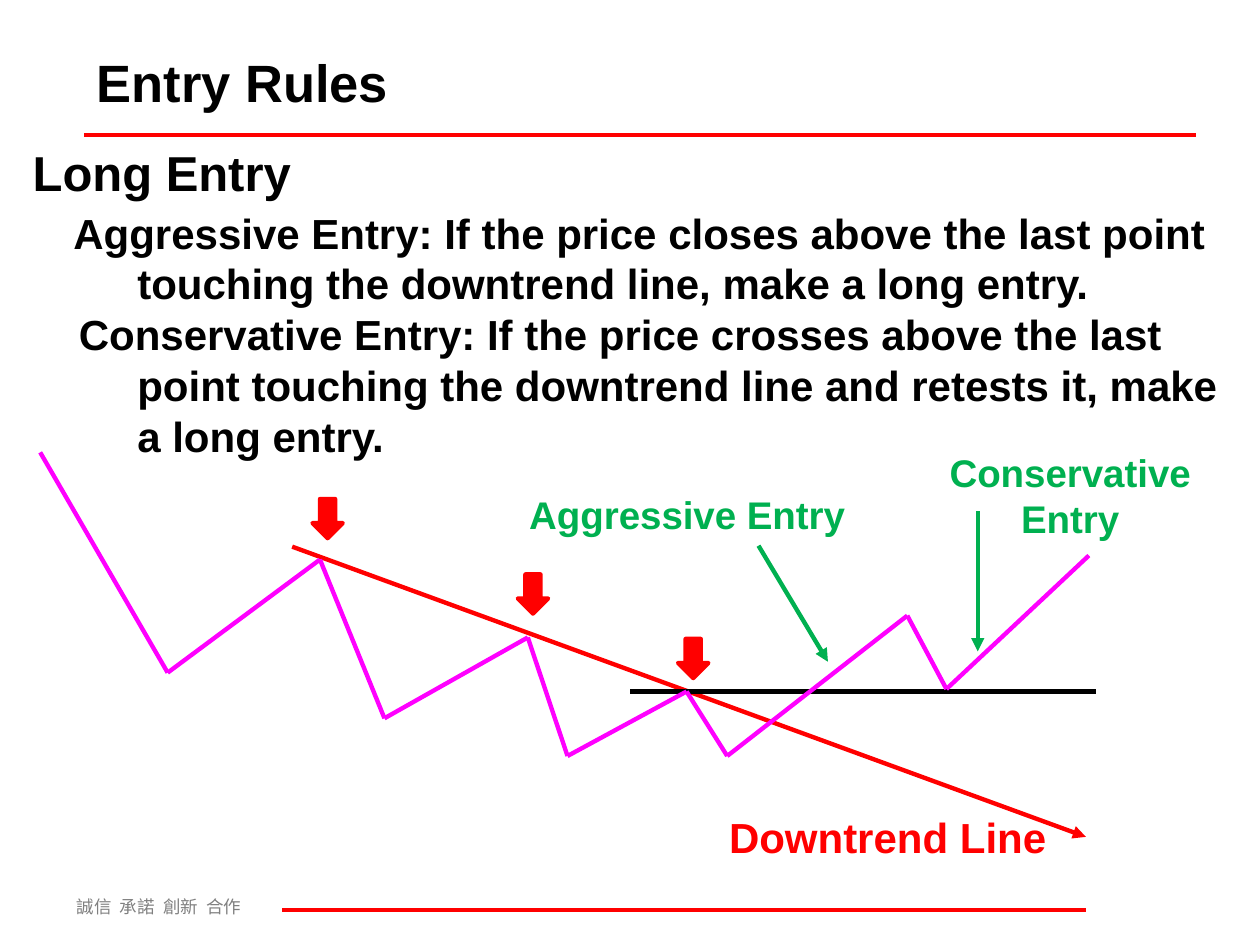
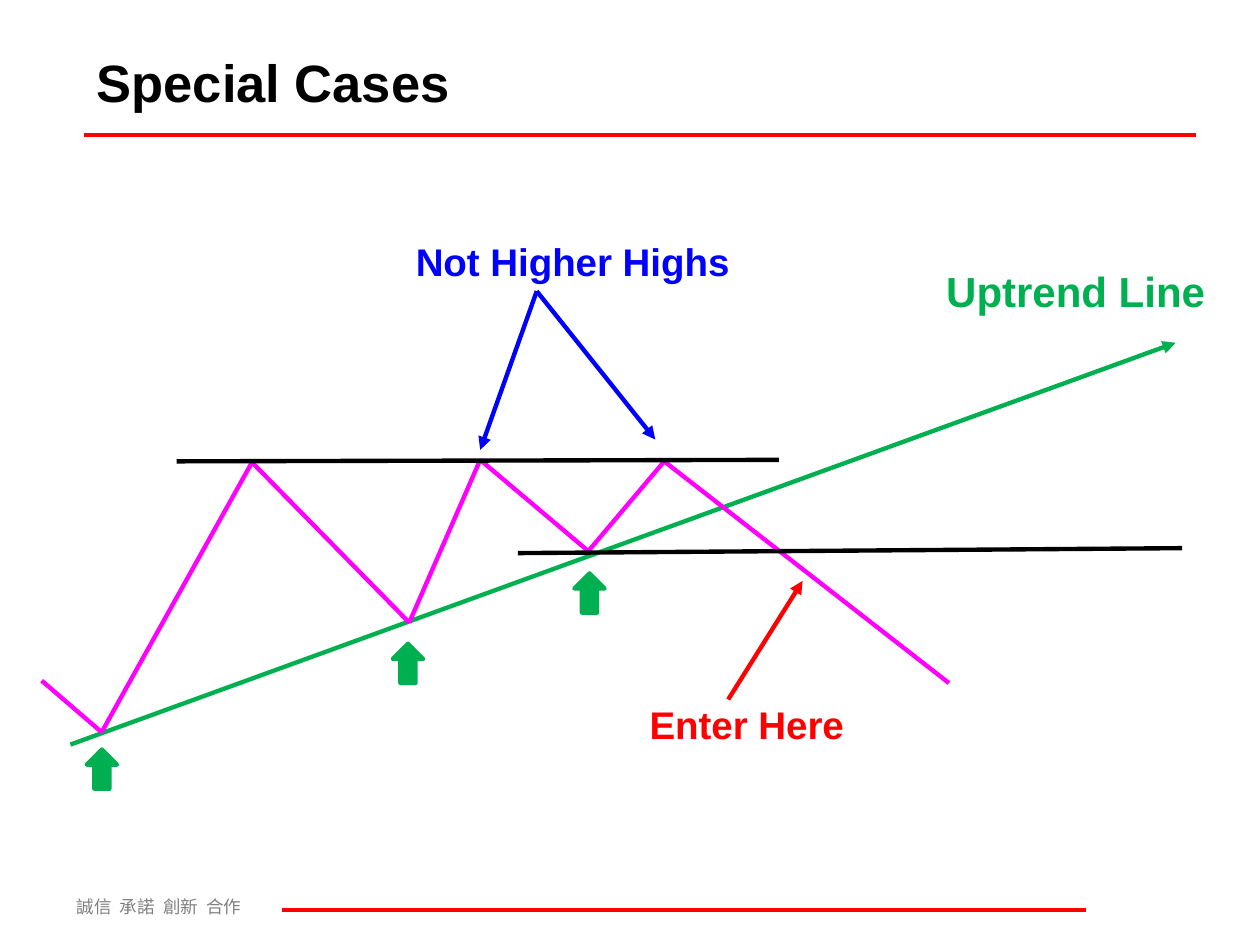
"""Build two slides on trend line entry rules and special cases."""
from lxml.etree import SubElement
from pptx import Presentation
from pptx.dml.color import RGBColor
from pptx.enum.shapes import MSO_CONNECTOR as CONN, MSO_SHAPE as SHAPE
from pptx.enum.text import MSO_ANCHOR as ANCHOR, PP_ALIGN as ALIGN
from pptx.oxml.ns import qn
from pptx.util import Cm, Pt

RED = RGBColor(0xFF, 0x00, 0x00)
GREEN = RGBColor(0x00, 0xB0, 0x50)
BLUE = RGBColor(0x00, 0x00, 0xFF)
MAGENTA = RGBColor(0xFF, 0x00, 0xFF)
BLACK = RGBColor(0x00, 0x00, 0x00)
GRAY = RGBColor(0x80, 0x80, 0x80)
FONT = "Arial"
CJK_FONT = "Noto Sans CJK SC"
RULE_WIDTH, CHART_WIDTH = 2.25, 2.5
MARK_W, MARK_H = 0.61, 0.79


def add_line(s, points, color, width=CHART_WIDTH, arrow=False):
    for start, end in zip(points, points[1:]):
        c = s.shapes.add_connector(CONN.STRAIGHT, *map(Cm, start + end))
        c.line.color.rgb = color
        c.line.width = Pt(width)
        if arrow:
            SubElement(c.line._get_or_add_ln(), qn("a:tailEnd"), type="triangle")
        SubElement(c._element.spPr, qn("a:effectLst"))


def add_text(s, box, text, size, color=BLACK, align=ALIGN.LEFT, font=FONT, bold=True):
    tf = s.shapes.add_textbox(*map(Cm, box)).text_frame
    tf.word_wrap = True
    p = tf.paragraphs[0]
    p.alignment = align
    r = p.add_run()
    r.text = text
    r.font.name, r.font.size, r.font.bold = font, Pt(size), bold
    r.font.color.rgb = color
    return tf


slides = [
    {
        "title": "Entry Rules",
        "lines": [
            (RED, True, [(5.89, 11.02), (21.89, 16.87)]),
            (BLACK, False, [(12.7, 13.94), (22.1, 13.94)]),
            (MAGENTA, False, [(0.81, 9.12), (3.38, 13.56), (6.45, 11.28), (7.75, 14.48),
                              (10.64, 12.85), (11.44, 15.24), (13.84, 13.94), (14.66, 15.24),
                              (18.29, 12.41), (19.08, 13.89), (21.95, 11.2)]),
            (GREEN, True, [(15.29, 11), (16.69, 13.34)]),
            (GREEN, True, [(19.71, 10.31), (19.71, 13.13)]),
        ],
        "mark": (SHAPE.DOWN_ARROW, RED),
        "touches": [(6.3, 10.06), (10.44, 11.58), (13.67, 12.88)],
        "labels": [
            ("Downtrend Line", 24, RED, (14.3, 16.23, 7.19, 1.27)),
            ("Aggressive Entry", 22, GREEN, (10.26, 9.78, 7.19, 1.19)),
            ("Conservative Entry", 22, GREEN, (17.98, 8.92, 7.19, 2.13)),
        ],
    },
    {
        "title": "Special Cases",
        "lines": [
            (GREEN, True, [(1.42, 15.01), (23.7, 6.91)]),
            (MAGENTA, False, [(0.84, 13.72), (2.05, 14.76), (5.08, 9.32), (8.25, 12.55),
                              (9.68, 9.27), (11.86, 11.11), (13.39, 9.3), (19.13, 13.77)]),
            (BLACK, False, [(10.44, 11.15), (23.83, 11.05)]),
            (BLACK, False, [(3.56, 9.3), (15.7, 9.27)]),
            (RED, True, [(14.68, 14.1), (16.18, 11.71)]),
            (BLUE, True, [(10.82, 5.87), (9.68, 9.07)]),
            (BLUE, True, [(10.82, 5.87), (13.21, 8.86)]),
        ],
        "mark": (SHAPE.UP_ARROW, GREEN),
        "touches": [(1.75, 15.11), (7.92, 12.98), (11.58, 11.56)],
        "labels": [
            ("Enter Here", 22, RED, (11.46, 14, 7.19, 1.19)),
            ("Uptrend Line", 24, GREEN, (18.69, 5.23, 5.99, 1.27)),
            ("Not Higher Highs", 22, BLUE, (7.95, 4.67, 7.19, 1.19)),
        ],
    },
]
rules = [
    ("Aggressive Entry: If the price closes above the last point "
     "touching the downtrend line, make a long entry.", 0.82),
    ("Conservative Entry: If the price crosses above the last "
     "point touching the downtrend line and retests it, make a long entry.", 0.93),
]
HANG = 2.11

prs = Presentation()
prs.slide_width, prs.slide_height = Cm(25.4), Cm(19.05)

for content in slides:
    s = prs.slides.add_slide(prs.slide_layouts[6])

    tf = add_text(s, (1.3, 17.93, 6.4, 0.69), "誠信\t承諾\t創新\t合作", 10, GRAY,
                  font=CJK_FONT, bold=False)
    p = tf.paragraphs[0]
    SubElement(p.runs[0].font._element, qn("a:ea"), typeface=CJK_FONT)
    tabs = SubElement(p._p.get_or_add_pPr(), qn("a:tabLst"))
    for i in range(1, 4):
        SubElement(tabs, qn("a:tab"), pos=str(Cm(0.87 * i)), algn="l")
    add_line(s, [(1.7, 2.72), (24.1, 2.72)], RED, RULE_WIDTH)
    add_line(s, [(5.69, 18.34), (21.89, 18.34)], RED, RULE_WIDTH)
    tf = add_text(s, (1.7, 0.76, 23.01, 1.75), content["title"], 30)
    tf.vertical_anchor = ANCHOR.MIDDLE

    if content is slides[0]:
        tf = add_text(s, (0.41, 2.72, 24.99, 6.76), "Long Entry", 28)
        tf.margin_right = Cm(0.35)
        tf.paragraphs[0].line_spacing = Pt(34.5)
        for rule, start in rules:
            p = tf.add_paragraph()
            pPr = p._p.get_or_add_pPr()
            pPr.set("marL", str(Cm(HANG)))
            pPr.set("indent", str(Cm(start - HANG)))
            p.line_spacing = Pt(29)
            p.space_before = Pt(3 if rule is rules[0][0] else 0)
            r = p.add_run()
            r.text = rule
            r.font.name, r.font.size, r.font.bold = FONT, Pt(24), True
            r.font.color.rgb = BLACK

    for color, arrow, points in content["lines"]:
        add_line(s, points, color, arrow=arrow)

    shape, color = content["mark"]
    for x, y in content["touches"]:
        sp = s.shapes.add_shape(shape, Cm(x), Cm(y), Cm(MARK_W), Cm(MARK_H))
        sp.shadow.inherit = False
        sp.fill.solid()
        sp.fill.fore_color.rgb = color
        sp.line.color.rgb = color
        sp.line.width = Pt(CHART_WIDTH)

    for text, size, color, box in content["labels"]:
        add_text(s, box, text, size, color, ALIGN.CENTER)

prs.save("out.pptx")
